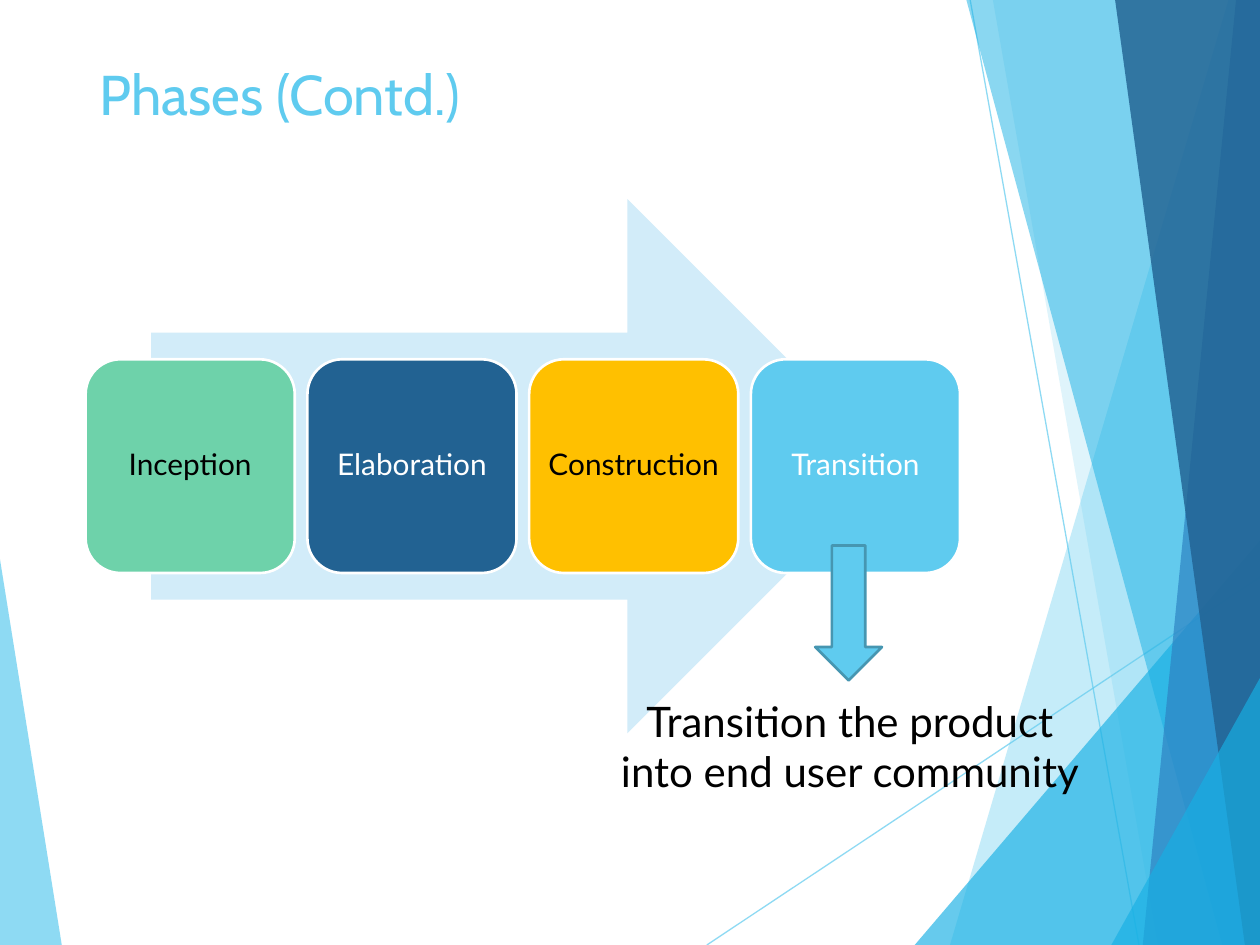
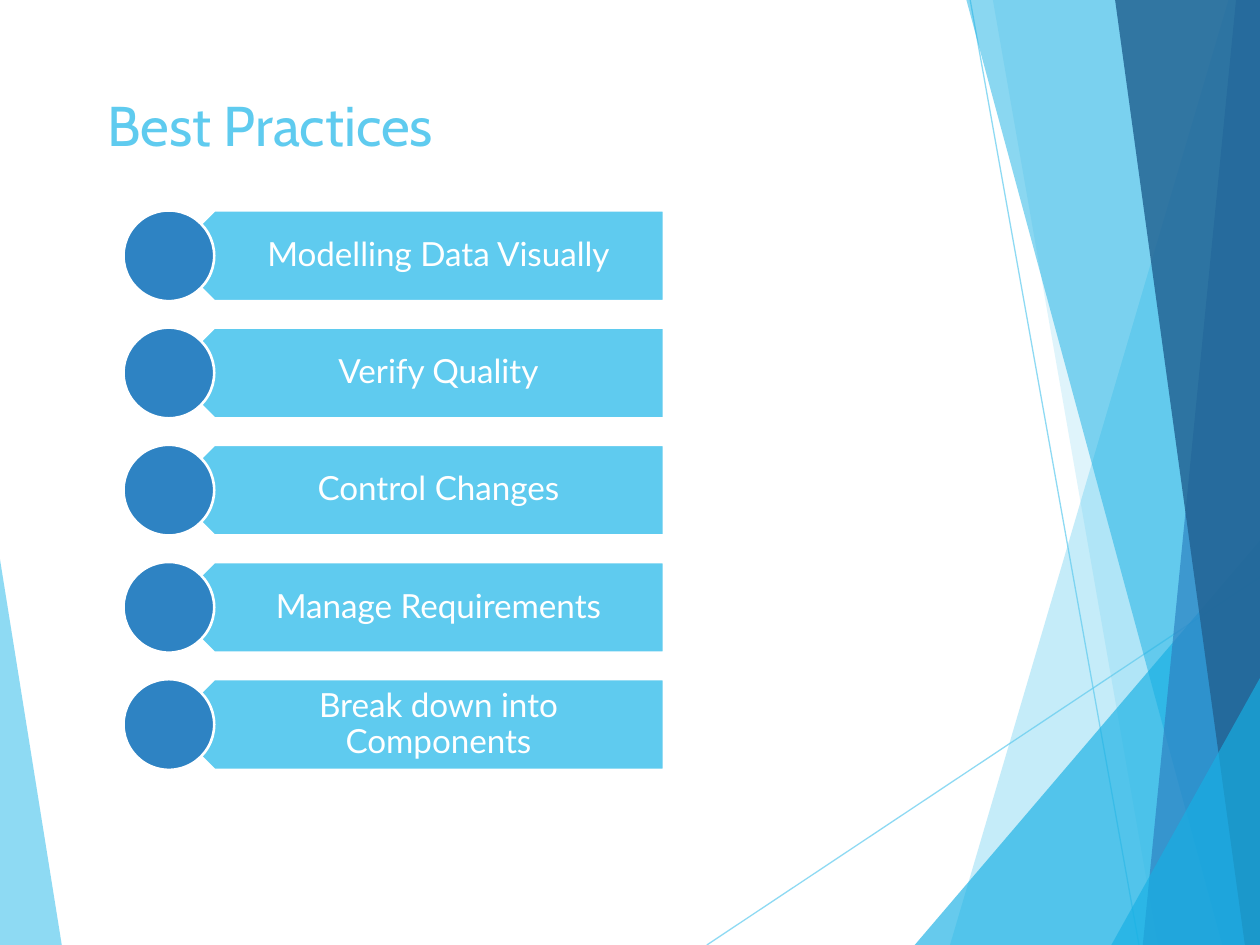
from dataclasses import dataclass

from lxml import etree
from pptx import Presentation
from pptx import util as u
from pptx.dml.color import RGBColor
from pptx.enum import shapes, text
from pptx.oxml import ns

WIDTH, HEIGHT = 10, 7.5


@dataclass(frozen=True)
class Theme:
    sky: str = "5FCBEF"
    cyan: str = "17B0E4"
    blue: str = "2E83C3"
    navy: str = "226292"
    mint: str = "6ED2AA"
    amber: str = "FFC000"
    pale: str = "D2ECF9"
    edge: str = "4696B1"
    white: str = "FFFFFF"
    black: str = "000000"
    title_font: str = "Cabin"
    body_font: str = "Lato"
    title_size: float = 32
    note_size: float = 24
    practice_size: float = 19
    phase_size: float = 17
    outline: float = 1.5
    hairline: float = 0.75


THEME = Theme()

# Background: colour, opacity in percent, corners in inches
FACETS = [
    (THEME.sky, 70, [(0, 4.44), (0.49, 7.5), (0, 7.5)]),
    (THEME.sky, 36, [(9.75, 0), (7.54, 7.5), (10, 7.5), (10, 0)]),
    (THEME.sky, 20, [(7.88, 0), (9.19, 7.5), (10, 7.5), (10, 0)]),
    (THEME.cyan, 66, [(7.26, 7.5), (10, 4.29), (10, 7.5)]),
    (THEME.cyan, 50, [(7.67, 0), (9.7, 7.5), (10, 7.5), (10, 0)]),
    (THEME.blue, 70, [(9.81, 0), (9.07, 7.5), (10, 7.5), (10, 0)]),
    (THEME.navy, 82, [(8.85, 0), (9.88, 7.5), (10, 7.5), (10, 0)]),
    (THEME.cyan, 66, [(8.82, 7.5), (10, 5.38), (10, 7.5)]),
]
RAYS = [((5.61, 7.5), (10, 4.58)), ((7.7, 0), (9.04, 7.5))]
RAY_OPACITY = 70

PHASES = [
    ("Inception", THEME.mint, THEME.black),
    ("Elaboration", THEME.navy, THEME.white),
    ("Construction", THEME.amber, THEME.black),
    ("Transition", THEME.sky, THEME.white),
]
PRACTICES = [
    "Modelling Data Visually",
    "Verify Quality",
    "Control Changes",
    "Manage Requirements",
    "Break down into Components",
]


def inches(*values):
    return [u.Inches(value) for value in values]


def paint(fill, colour, opacity=100):
    fill.solid()
    fill.fore_color.rgb = RGBColor.from_string(colour)
    if opacity < 100:
        for srgb in fill._xPr.iter(ns.qn("a:srgbClr")):
            etree.SubElement(srgb, ns.qn("a:alpha"), val=str(opacity * 1000))


def add_block(slide, preset, box, colour, outline=None):
    block = slide.shapes.add_shape(preset, *inches(*box))
    block.shadow.inherit = False
    paint(block.fill, colour)
    if outline:
        paint(block.line.fill, outline)
        block.line.width = u.Pt(THEME.outline)
    else:
        block.line.fill.background()
    return block


def write(shape, words, size, colour, insets=(0.1, 0.05, 0.1, 0.05), name=THEME.body_font,
          align=text.PP_ALIGN.CENTER, anchor=text.MSO_ANCHOR.MIDDLE, spacing=0.9):
    frame = shape.text_frame
    frame.text = words
    left, top, right, bottom = inches(*insets)
    frame_format = {
        "word_wrap": True, "auto_size": text.MSO_AUTO_SIZE.NONE, "vertical_anchor": anchor,
        "margin_left": left, "margin_top": top, "margin_right": right, "margin_bottom": bottom,
    }
    for key, value in frame_format.items():
        setattr(frame, key, value)
    paragraph = frame.paragraphs[0]
    paragraph.alignment, paragraph.line_spacing = align, spacing
    font = paragraph.runs[0].font
    font.name, font.size = name, u.Pt(size)
    font.color.rgb = RGBColor.from_string(colour)


def add_background(slide):
    """Draw rays and facets, then hand them to the layout so every slide shares them."""
    parts = []
    for start, end in RAYS:
        ray = slide.shapes.add_connector(shapes.MSO_CONNECTOR.STRAIGHT, *inches(*start, *end))
        paint(ray.line.fill, THEME.sky, RAY_OPACITY)
        ray.line.width = u.Pt(THEME.hairline)
        etree.SubElement(ray.element.spPr, ns.qn("a:effectLst"))
        parts.append(ray)
    for colour, opacity, corners in FACETS:
        first, *rest = [inches(*corner) for corner in corners]
        outline = slide.shapes.build_freeform(*first)
        outline.add_line_segments(rest, close=True)
        facet = outline.convert_to_shape()
        facet.shadow.inherit = False
        paint(facet.fill, colour, opacity)
        facet.line.fill.background()
        parts.append(facet)
    tree = slide.slide_layout.shapes.element
    for index, part in enumerate(parts, start=2):
        tree.insert(index, part.element)


def set_title(slide, words, box):
    title = slide.shapes.title
    title.left, title.top, title.width, title.height = inches(*box)
    write(title, words, THEME.title_size, THEME.sky, name=THEME.title_font,
          align=text.PP_ALIGN.LEFT, anchor=text.MSO_ANCHOR.TOP, spacing=1.0)


def add_phases(slide, box):
    left, top, width, height = box
    gap, inset = 0.1, 0.52
    # Broad arrow behind the cards
    add_block(slide, shapes.MSO_SHAPE.RIGHT_ARROW,
              (left + inset, top, width - 2 * inset, height), THEME.pale)
    # Phase cards
    card_width = (width - gap * (len(PHASES) - 1)) / len(PHASES)
    card_height = height * 0.4
    for index, (phase, colour, ink) in enumerate(PHASES):
        card = add_block(slide, shapes.MSO_SHAPE.ROUNDED_RECTANGLE,
                         (left + index * (card_width + gap), top + height * 0.3,
                          card_width, card_height), colour, THEME.white)
        write(card, phase, THEME.phase_size, ink, insets=(0.05,) * 4)


def add_outcome(slide, box):
    left, top, width, height = box
    pointer_height = 1.07
    # Note under the last phase
    note_top = top + pointer_height + 0.07
    note = slide.shapes.add_textbox(*inches(left, note_top, width, top + height - note_top))
    write(note, "Transition the product into end user community", THEME.note_size, THEME.black,
          anchor=text.MSO_ANCHOR.TOP, spacing=1.0)
    # Pointer from the phase to its note
    add_block(slide, shapes.MSO_SHAPE.DOWN_ARROW,
              (left + 1.64, top, 0.53, pointer_height), THEME.sky, THEME.edge)


def add_practices(slide, box):
    left, top, width, height = box
    size = 0.72
    pitch = (height - size) / (len(PRACTICES) - 1)
    for index, practice in enumerate(PRACTICES):
        row = top + index * pitch
        # Banner, its label and the disc over its point
        banner = add_block(slide, shapes.MSO_SHAPE.PENTAGON,
                           (left + size / 2, row, width - size / 2, size),
                           THEME.sky, THEME.white)
        banner.rotation = 180
        label = slide.shapes.add_textbox(
            *inches(left + size * 0.75, row, width - size * 0.75, size))
        write(label, practice, THEME.practice_size, THEME.white,
              insets=(0.32, 0.08, 0.15, 0.08))
        add_block(slide, shapes.MSO_SHAPE.OVAL, (left, row, size, size),
                  THEME.blue, THEME.white)


def build_phases_slide(slide):
    set_title(slide, "Phases (Contd.)", (0.69, 0.42, 8.62, 1.45))
    add_phases(slide, (0.68, 1.58, 6.94, 4.24))
    add_outcome(slide, (4.83, 4.33, 3.83, 2.45))


def build_practices_slide(slide):
    set_title(slide, "Best Practices", (0.75, 0.67, 8.67, 1.33))
    add_practices(slide, (0.98, 1.67, 4.29, 4.44))


def main():
    deck = Presentation()
    deck.slide_width, deck.slide_height = inches(WIDTH, HEIGHT)
    title_only = deck.slide_layouts[5]
    phases, practices = [deck.slides.add_slide(title_only) for _ in range(2)]
    add_background(phases)
    build_phases_slide(phases)
    build_practices_slide(practices)
    deck.save("out.pptx")


if __name__ == "__main__":
    main()
